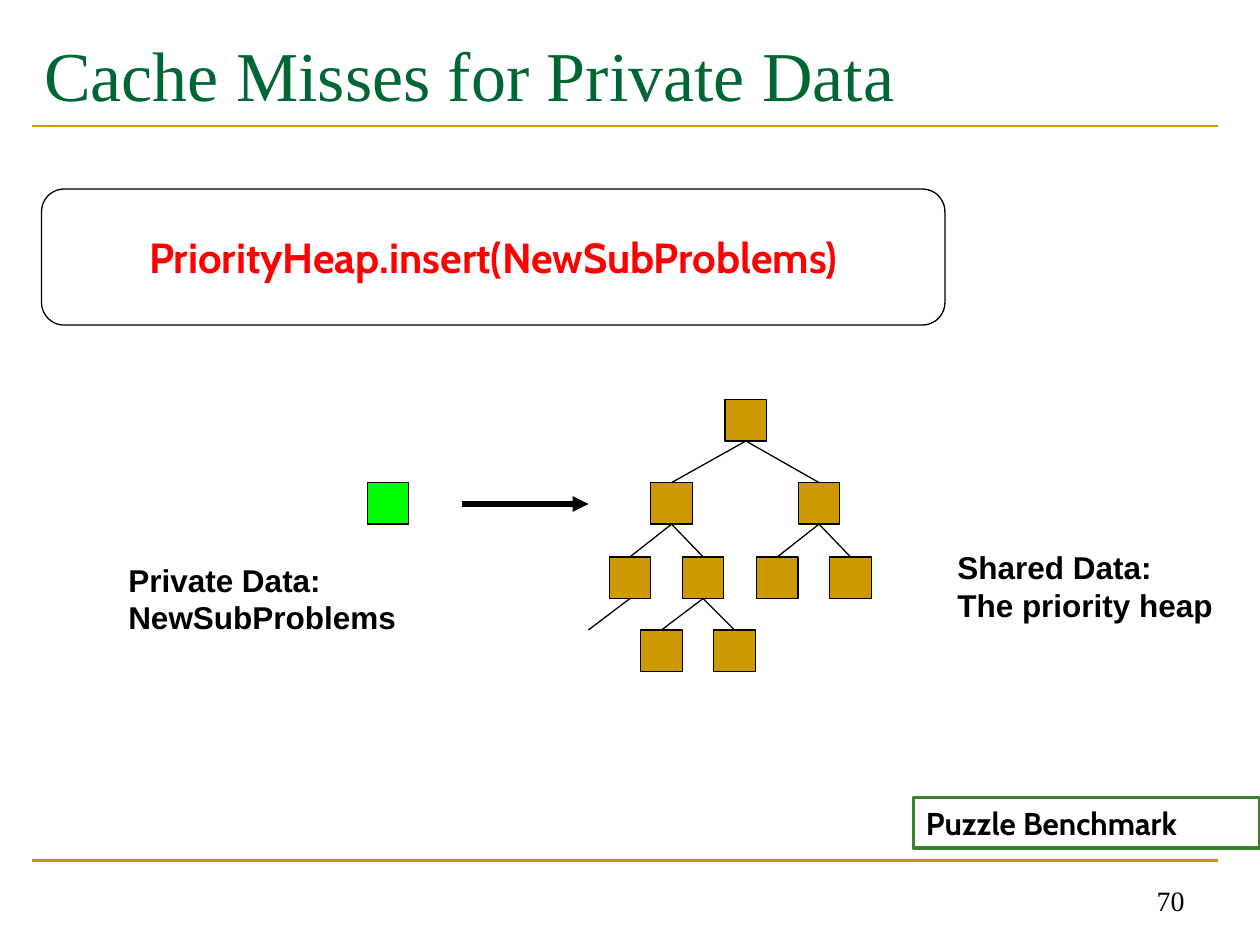
"""Build the slide on cache misses for private data."""
from dataclasses import dataclass

from lxml import etree
from pptx import Presentation
from pptx.dml.color import RGBColor
from pptx.enum.shapes import MSO_CONNECTOR, MSO_SHAPE
from pptx.enum.text import MSO_ANCHOR, PP_ALIGN
from pptx.oxml.ns import qn
from pptx.util import Inches, Pt

RECT = MSO_SHAPE.RECTANGLE
ROUND = MSO_SHAPE.FLOWCHART_ALTERNATE_PROCESS
STRAIGHT = MSO_CONNECTOR.STRAIGHT
LEFT, CENTER, RIGHT = PP_ALIGN.LEFT, PP_ALIGN.CENTER, PP_ALIGN.RIGHT
TOP, MIDDLE, BOTTOM = MSO_ANCHOR.TOP, MSO_ANCHOR.MIDDLE, MSO_ANCHOR.BOTTOM
SIDE = 0.33
ROWS = (3.17, 3.83, 4.42, 5)


@dataclass(frozen=True)
class Theme:
    black: str = "000000"
    white: str = "FFFFFF"
    gold: str = "CC9900"
    green: str = "006633"
    lime: str = "00FF00"
    leaf: str = "3B812F"
    red: str = "FF0000"
    serif: str = "Times New Roman"
    sans: str = "Arial"
    code: str = "Cabin"
    head: int = 40
    call: int = 24
    label: int = 18
    page: int = 16
    thin: float = 0.75
    rule: float = 1.5
    frame: float = 2
    thick: float = 3


class Deck:
    def __init__(self, theme):
        self.theme = theme
        self.show = Presentation()
        self.show.slide_width, self.show.slide_height = Inches(10), Inches(7.5)
        self.slide = self.show.slides.add_slide(self.show.slide_layouts[5])

    def letter(self, shape, lines, font, size, color, bold=True,
               align=LEFT, anchor=TOP, wrap=True):
        frame = shape.text_frame
        frame.word_wrap, frame.vertical_anchor = wrap, anchor
        para = frame.paragraphs[0]
        para.alignment = align
        for i, line in enumerate(lines):
            if i:
                para.add_line_break()
            run = para.add_run()
            run.text = line
            run.font.name, run.font.size, run.font.bold = font, Pt(size), bold
            run.font.color.rgb = RGBColor.from_string(color)

    def title(self, text, *place):
        shape = self.slide.shapes.title
        shape.left, shape.top, shape.width, shape.height = map(Inches, place)
        self.letter(shape, [text], self.theme.serif, self.theme.head,
                    self.theme.green, bold=False, anchor=MIDDLE)

    def text(self, lines, place, font, size, **style):
        shape = self.slide.shapes.add_textbox(*map(Inches, place))
        self.letter(shape, lines, font, size, self.theme.black, **style)

    def box(self, place, fill=None, kind=RECT, line=None, width=None):
        shape = self.slide.shapes.add_shape(kind, *map(Inches, place))
        shape.shadow.inherit = False
        if fill:
            shape.fill.solid()
            shape.fill.fore_color.rgb = RGBColor.from_string(fill)
        else:
            shape.fill.background()
        shape.line.color.rgb = RGBColor.from_string(line or self.theme.black)
        shape.line.width = Pt(width or self.theme.thin)
        return shape

    def line(self, start, end, color=None, width=None, arrow=False):
        link = self.slide.shapes.add_connector(
            STRAIGHT, *map(Inches, (*start, *end)))
        link.line.color.rgb = RGBColor.from_string(color or self.theme.black)
        link.line.width = Pt(width or self.theme.thin)
        props = link.element.spPr
        if arrow:
            etree.SubElement(props.find(qn("a:ln")), qn("a:tailEnd"), type="triangle")
        etree.SubElement(props, qn("a:effectLst"))

    def node(self, x, y, fill):
        self.box((x - SIDE / 2, y, SIDE, SIDE), fill)

    def tree(self, x, y, kids=()):
        for kid in kids:
            self.line((x, y + SIDE), kid[:2])
            self.tree(*kid)
        self.node(x, y, self.theme.gold)


def main():
    theme = Theme()
    deck = Deck(theme)
    for y in (1, 6.83):
        deck.line((0.25, y), (9.67, y), theme.gold, theme.rule)
    deck.title("Cache Misses for Private Data", 0.25, 0.17, 9.42, 0.83)
    deck.text(["70"], (7.17, 6.83, 2.33, 0.5), theme.serif, theme.page,
              bold=False, align=RIGHT, anchor=BOTTOM)

    call = deck.box((0.33, 1.5, 7.17, 1.08), kind=ROUND)
    deck.letter(call, ["PriorityHeap.insert(NewSubProblems)"], theme.code, theme.call,
                theme.red, align=CENTER, anchor=MIDDLE, wrap=False)

    top, second, third, last = ROWS
    deck.line((5, third + SIDE), (4.67, last))
    inner = (5.58, third, ((5.25, last), (5.83, last)))
    left = (5.33, second, ((5, third), inner))
    right = (6.5, second, ((6.17, third), (6.75, third)))
    deck.tree(5.92, top, (left, right))
    deck.node(3.08, second, theme.lime)
    deck.line((3.67, 4), (4.67, 4), width=theme.thick, arrow=True)

    deck.text(["Private Data: NewSubProblems"], (0.92, 4.4, 2.5, 0.7),
              theme.sans, theme.label)
    deck.text(["Shared Data:", "The priority heap"], (7.5, 4.3, 2.33, 0.71),
              theme.sans, theme.label)
    badge = deck.box((7.25, 6.33, 2.75, 0.4), theme.white,
                     line=theme.leaf, width=theme.frame)
    deck.letter(badge, ["Puzzle Benchmark"], theme.code, theme.label, theme.black)

    deck.show.save("out.pptx")


if __name__ == "__main__":
    main()
